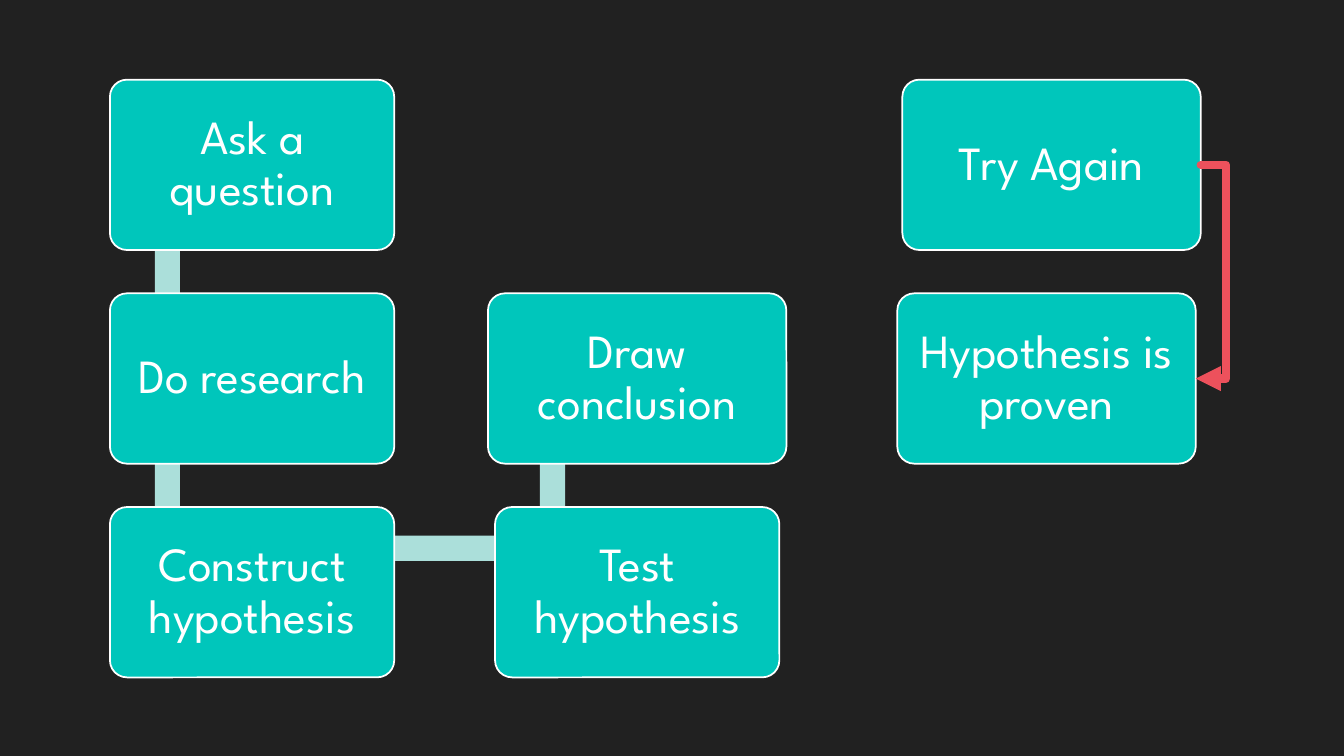
import dataclasses
import math

import pptx
import pptx.dml.color
import pptx.enum.dml
import pptx.enum.shapes
import pptx.enum.text
import pptx.oxml
import pptx.oxml.ns
import pptx.util

Inches = pptx.util.Inches
Shape = pptx.enum.shapes.MSO_SHAPE


@dataclasses.dataclass(frozen=True)
class Theme:
    backdrop: str = "212121"
    card: str = "00C6BB"
    track: str = "ABDFDA"
    text: str = "FFFFFF"
    retry: str = "ED515C"
    font: str = "League Spartan"
    label_size: float = 34
    outline: float = 1.25
    arrow_width: float = 6


class FlowSlide:
    """Draws the steps of a process on a grid of columns and rows."""

    LEFT, TOP = 1.09, 0.79
    COLUMN, ROW = 3.82, 2.12
    CARD_WIDTH, CARD_HEIGHT = 2.82, 1.69
    ANCHOR_X, ANCHOR_Y = 0.57, 0.41
    TRACK = 0.25

    def __init__(self, deck, theme):
        self.theme = theme
        self.slide = deck.slides.add_slide(deck.slide_layouts[6])
        self.paint(self.slide.background.fill, theme.backdrop)

    def paint(self, fill, color):
        fill.solid()
        fill.fore_color.rgb = pptx.dml.color.RGBColor.from_string(color)

    def style(self, target, formats):
        for name, value in formats.items():
            setattr(target, name, value)

    def corner(self, column, row):
        return self.LEFT + column * self.COLUMN, self.TOP + row * self.ROW

    def shape(self, kind, left, top, width, height, color):
        part = self.slide.shapes.add_shape(
            kind, Inches(left), Inches(top), Inches(width), Inches(height))
        part.shadow.inherit = False
        self.paint(part.fill, color)
        return part

    def track(self, start, end):
        x1, y1 = self.corner(*start)
        x2, y2 = self.corner(*end)
        length = math.hypot(x2 - x1, y2 - y1)
        middle_x = (x1 + x2) / 2 + self.ANCHOR_X
        middle_y = (y1 + y2) / 2 + self.ANCHOR_Y
        band = self.shape(Shape.RECTANGLE, middle_x - length / 2,
                          middle_y - self.TRACK / 2, length, self.TRACK, self.theme.track)
        band.line.fill.background()
        band.rotation = math.degrees(math.atan2(y2 - y1, x2 - x1)) % 360

    def card(self, label, column, row, extra=0, shift=0):
        left, top = self.corner(column, row)
        step = self.shape(Shape.ROUNDED_RECTANGLE, left - extra / 2 + shift, top,
                          self.CARD_WIDTH + extra, self.CARD_HEIGHT, self.theme.card)
        step.adjustments[0] = 0.1
        self.paint(step.line.fill, self.theme.text)
        step.line.width = pptx.util.Pt(self.theme.outline)
        inset = Inches(0.14)
        self.style(step.text_frame, {
            "word_wrap": True,
            "vertical_anchor": pptx.enum.text.MSO_ANCHOR.MIDDLE,
            "margin_left": inset, "margin_right": inset,
            "margin_top": inset, "margin_bottom": inset})
        wording = step.text_frame.paragraphs[0]
        self.style(wording, {
            "text": label, "line_spacing": 0.9,
            "alignment": pptx.enum.text.PP_ALIGN.CENTER})
        font = wording.runs[0].font
        self.style(font, {"name": self.theme.font,
                          "size": pptx.util.Pt(self.theme.label_size)})
        self.paint(font.fill, self.theme.text)
        return step

    def side_arrow(self, source, target, reach):
        right, end = source.left + source.width, target.left + target.width
        arrow = self.slide.shapes.add_connector(
            pptx.enum.shapes.MSO_CONNECTOR.ELBOW,
            right, source.top + source.height // 2,
            end, target.top + target.height // 2)
        arrow.begin_connect(source, 3)
        arrow.end_connect(target, 3)
        self.paint(arrow.line.fill, self.theme.retry)
        arrow.line.width = pptx.util.Pt(self.theme.arrow_width)
        qn = pptx.oxml.ns.qn
        properties = arrow.line._get_or_add_ln()
        properties.set("cap", "rnd")
        for tag, formats in (("round", {}), ("tailEnd", {"type": "triangle"})):
            properties.append(properties.makeelement(qn("a:" + tag), formats))
        details = arrow._element.spPr
        details.append(details.makeelement(qn("a:effectLst"), {}))
        guides = details.find(qn("a:prstGeom")).get_or_add_avLst()
        bend = round(-100000 * Inches(reach) / (right - end))
        guides.append(guides.makeelement(
            qn("a:gd"), {"name": "adj1", "fmla": f"val {bend}"}))


def main():
    deck = pptx.Presentation()
    deck.slide_width, deck.slide_height = Inches(13.33), Inches(7.5)
    flow = FlowSlide(deck, Theme())
    wide = 0.14

    steps = [
        ("Ask a question", (0, 0), 0),
        ("Do research", (0, 1), 0),
        ("Construct hypothesis", (0, 2), 0),
        ("Test hypothesis", (1, 2), 0),
        ("Draw conclusion", (1, 1), wide),
    ]
    following = [cell for _, cell, _ in steps[1:]] + [None]
    for (label, cell, extra), next_cell in zip(steps, following):
        if next_cell:
            flow.track(cell, next_cell)
        flow.card(label, *cell, extra)

    try_again = flow.card("Try Again", 2, 0, wide, 0.29)
    proven = flow.card("Hypothesis is proven", 2, 1, wide, 0.24)
    flow.side_arrow(try_again, proven, 0.25)

    deck.save("out.pptx")


if __name__ == "__main__":
    main()
